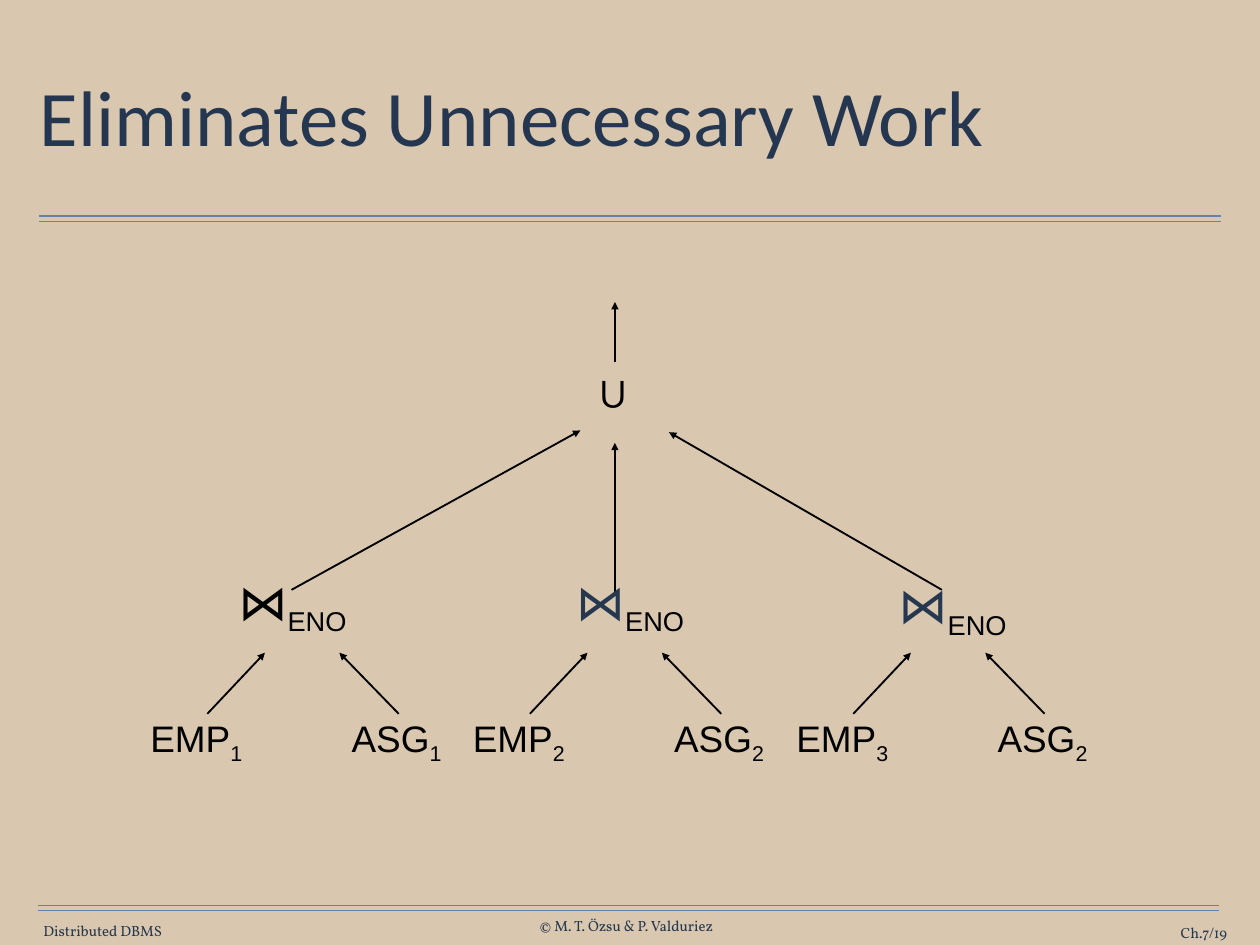
from lxml import etree
from pptx import Presentation
from pptx.dml.color import RGBColor
from pptx.enum.shapes import MSO_CONNECTOR
from pptx.enum.text import MSO_ANCHOR, PP_ALIGN
from pptx.oxml.ns import qn
from pptx.util import Inches, Pt

LINE = MSO_CONNECTOR.STRAIGHT
TOP, MIDDLE = MSO_ANCHOR.TOP, MSO_ANCHOR.MIDDLE
LEFT, CENTER, RIGHT = PP_ALIGN.LEFT, PP_ALIGN.CENTER, PP_ALIGN.RIGHT

SAND = RGBColor(0xD9, 0xC8, 0xAF)
STEEL = RGBColor(0x66, 0x82, 0xAA)
NAVY = RGBColor(0x26, 0x37, 0x50)
INK = RGBColor(0x25, 0x37, 0x50)
BLACK = RGBColor(0, 0, 0)

# Left edge of each join, its relation names, and its symbol's place and colour
JOINS = [
    (1.54, "1", "1", (2.63, 6.76, 1.34, 0.48), BLACK),
    (5.18, "2", "2", (6.44, 6.76, 1.34, 0.48), NAVY),
    (8.83, "3", "2", (10.02, 6.8, 1.46, 0.48), NAVY),
]


def add_run(para, text, size, font="Arial", color=BLACK, sub=False):
    run = para.add_run()
    run.text = text
    run.font.size = Pt(size)
    run.font.name = font
    run.font.color.rgb = color
    props = run._r.get_or_add_rPr()
    for tag in ("a:ea", "a:cs", "a:sym"):
        if tag != "a:cs":
            etree.SubElement(props, qn(tag), typeface=font)
    if sub:
        props.set("baseline", "-25000")


def fill_frame(frame, runs, align=CENTER, anchor=TOP, pad=(0, 0),
               wrap=False, space=None):
    """Each run is a text and a dict of its format."""
    frame.word_wrap = wrap
    frame.vertical_anchor = anchor
    frame.margin_left = frame.margin_right = Inches(pad[0])
    frame.margin_top = frame.margin_bottom = Inches(pad[1])
    para = frame.paragraphs[0]
    para.alignment = align
    if space:
        para.line_spacing = space
    for text, style in runs:
        add_run(para, text, **style)


def add_text(slide, place, runs, **style):
    box = slide.shapes.add_textbox(*map(Inches, place))
    fill_frame(box.text_frame, runs, **style)


def add_line(slide, start, end, color=BLACK, width=1.5, arrow=True):
    line = slide.shapes.add_connector(
        LINE, *map(Inches, (*start, *end)))
    line.line.color.rgb = color
    line.line.width = Pt(width)
    etree.SubElement(line._element.spPr, qn("a:effectLst"))
    if arrow:
        etree.SubElement(line.line._get_or_add_ln(), qn("a:tailEnd"),
                         type="triangle")


def add_rules(slide):
    for left, right, top in ((0.44, 13.78, 2.44), (0.43, 13.76, 10.22)):
        for y in (top, top + 0.06):
            add_line(slide, (left, y), (right, y), STEEL, 1, False)


def add_footer(slide):
    style = dict(size=12, font="Vollkorn", color=NAVY)
    for text, place, align in (
        ("Distributed DBMS", (0.47, 10.41, 1.38, 0.2), CENTER),
        ("© M. T. Özsu & P. Valduriez", (6.03, 10.35, 2.08, 0.2), CENTER),
        ("Ch.7/19", (12.31, 10.43, 1.54, 0.2), RIGHT),
    ):
        add_text(slide, place, [(text, style)], align=align, anchor=MIDDLE,
                 wrap=align == RIGHT)


def add_title(slide):
    title = slide.shapes.title
    title.left, title.top = Inches(0.39), Inches(0.49)
    title.width, title.height = Inches(13.44), Inches(1.76)
    style = dict(size=64, font="Calibri", color=INK)
    fill_frame(title.text_frame, [("Eliminates Unnecessary Work", style)],
               align=LEFT, anchor=MIDDLE, pad=(0.06, 0.06), wrap=True,
               space=0.9)


def add_join(slide, left, emp, asg, place, color):
    # Relations
    for name, index, x in (("EMP", emp, left), ("ASG", asg, left + 2.26)):
        add_text(slide, (x, 8.01, 1.35, 0.64),
                 [(name, dict(size=30)), (index, dict(size=30, sub=True))],
                 pad=(0.14, 0.07))
    # Arrows to the join
    for start, end in ((0.8, 1.45), (2.96, 2.29)):
        add_line(slide, (left + start, 8.06), (left + end, 7.37))
    # Join symbol
    add_text(slide, place,
             [("⋈", dict(size=40, font="Vollkorn", color=color)),
              ("ENO", dict(size=38, sub=True))],
             wrap=True, space=Pt(31.3))


def add_union(slide):
    add_line(slide, (3.29, 6.66), (6.55, 4.86))
    add_line(slide, (6.94, 6.68), (6.94, 5))
    add_line(slide, (10.63, 6.66), (7.55, 4.88))
    add_line(slide, (6.94, 4.09), (6.94, 3.41), width=1)
    add_text(slide, (6.73, 4.14, 0.39, 0.58), [("∪", dict(size=36))],
             space=Pt(41.2))


def main():
    deck = Presentation()
    deck.slide_width, deck.slide_height = Inches(14.22), Inches(10.67)
    slide = deck.slides.add_slide(deck.slide_layouts[5])
    slide.background.fill.solid()
    slide.background.fill.fore_color.rgb = SAND
    add_rules(slide)
    add_footer(slide)
    add_title(slide)
    add_union(slide)
    for join in JOINS:
        add_join(slide, *join)
    deck.save("out.pptx")


if __name__ == "__main__":
    main()
